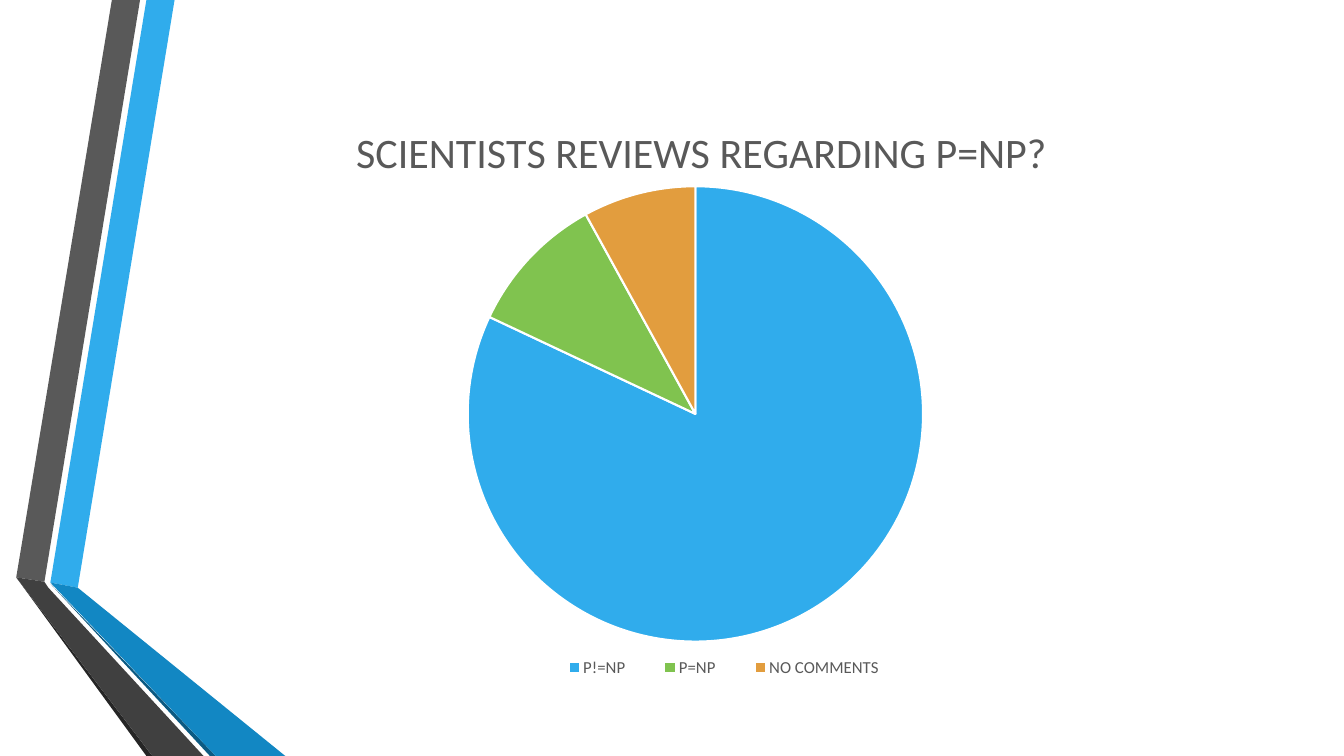
from lxml.etree import SubElement
from pptx import Presentation
from pptx.chart.data import CategoryChartData as ChartData
from pptx.dml.color import RGBColor
from pptx.enum.chart import XL_CHART_TYPE as ChartType, XL_LEGEND_POSITION as LegendPosition
from pptx.oxml import parse_xml
from pptx.oxml.ns import nsdecls, qn
from pptx.util import Cm, Pt

WHITE = RGBColor(0xFF, 0xFF, 0xFF)
BLUE = RGBColor(0x30, 0xAC, 0xEC)
DEEP_BLUE = RGBColor(0x12, 0x87, 0xC3)
NAVY = RGBColor(0x0C, 0x5A, 0x82)
GREEN = RGBColor(0x80, 0xC3, 0x4F)
ORANGE = RGBColor(0xE2, 0x9D, 0x3E)
GREY = RGBColor(0x59, 0x59, 0x59)
DARK_GREY = RGBColor(0x40, 0x40, 0x40)
CHARCOAL = RGBColor(0x26, 0x26, 0x26)
FONT = "Calibri"

RIBBONS = [
    (BLUE, [(0.86, 14.68), (1.55, 14.81), (3.99, 0), (3.28, 0)]),
    (GREY, [(3.12, 0), (2.41, 0), (0, 14.55), (0.71, 14.66)]),
    (CHARCOAL, [(0, 14.55), (3.28, 19.05), (3.43, 19.05)]),
    (NAVY, [(0.86, 14.71), (4.88, 19.05), (5.03, 19.05)]),
    (DEEP_BLUE, [(0.86, 14.68), (5.03, 19.05), (6.78, 19.05), (1.55, 14.81)]),
    (DARK_GREY, [(4.72, 19.05), (0.81, 14.81), (0.71, 14.66), (0, 14.55), (3.43, 19.05)]),
]
REVIEWS = [("P!=NP", 82, BLUE), ("P=NP", 10, GREEN), ("NO COMMENTS", 8, ORANGE)]


def add_ribbons(page, left, top):
    """Draw the folded ribbons from the given top-left corner."""
    for color, points in RIBBONS:
        corners = [(Cm(x), Cm(y)) for x, y in points]
        builder = page.shapes.build_freeform(*corners[0])
        builder.add_line_segments(corners[1:], close=True)
        ribbon = builder.convert_to_shape(left, top)
        ribbon.shadow.inherit = False
        ribbon.fill.solid()
        ribbon.fill.fore_color.rgb = color
        ribbon.line.fill.background()


def style_font(font, size):
    """Give chart text its typeface, size and grey colour."""
    font.name = FONT
    font.size = Pt(size)
    font.bold = False
    font.color.rgb = GREY


def set_layout(element, index, **fractions):
    """Place a chart part by fractions of the chart area."""
    for former in element.findall(qn("c:layout")):
        element.remove(former)
    layout = parse_xml(f"<c:layout {nsdecls('c')}><c:manualLayout/></c:layout>")
    manual = layout[0]
    if element.tag == qn("c:plotArea"):
        SubElement(manual, qn("c:layoutTarget")).set("val", "inner")
    for axis in ("xMode", "yMode"):
        SubElement(manual, qn(f"c:{axis}")).set("val", "edge")
    for name, value in fractions.items():
        SubElement(manual, qn(f"c:{name}")).set("val", str(value))
    element.insert(index, layout)


def add_review_chart(page, left, top, width, height):
    """Draw the pie of reviews with its title and legend in the given box."""
    data = ChartData()
    data.categories = [name for name, _, _ in REVIEWS]
    data.add_series("Series 1", [share for _, share, _ in REVIEWS])
    chart = page.shapes.add_chart(ChartType.PIE, left, top, width, height, data).chart
    style_font(chart.font, 10)

    chart.has_title = True
    title = chart.chart_title
    title.include_in_layout = False
    span = title.text_frame.paragraphs[0].add_run()
    span.text = "SCIENTISTS REVIEWS REGARDING P=NP?"
    style_font(span.font, 30)
    set_layout(title._element, 1, x=0.197, y=0.037)

    chart.has_legend = True
    legend = chart.legend
    legend.position = LegendPosition.BOTTOM
    legend.include_in_layout = False
    style_font(legend.font, 12)
    set_layout(legend._element, 1, x=0.36, y=0.935, w=0.33, h=0.05)

    plot = chart.plots[0]
    plot.vary_by_categories = True
    for index, (_, _, color) in enumerate(REVIEWS):
        slice_format = plot.series[0].points[index].format
        slice_format.fill.solid()
        slice_format.fill.fore_color.rgb = color
        slice_format.line.color.rgb = WHITE
        slice_format.line.width = Pt(1.5)
    set_layout(chart._chartSpace.chart.plotArea, 0, x=0.301, y=0.155, w=0.398, h=0.762)


def main():
    """Build the slide and save the deck."""
    deck = Presentation()
    deck.slide_width, deck.slide_height = Cm(33.87), Cm(19.05)
    page = deck.slides.add_slide(deck.slide_layouts.get_by_name("Blank"))
    add_ribbons(page, Cm(0.41), Cm(0))
    add_review_chart(page, Cm(3.1), Cm(2.36), Cm(28.85), Cm(15.06))
    deck.save("out.pptx")


main()
